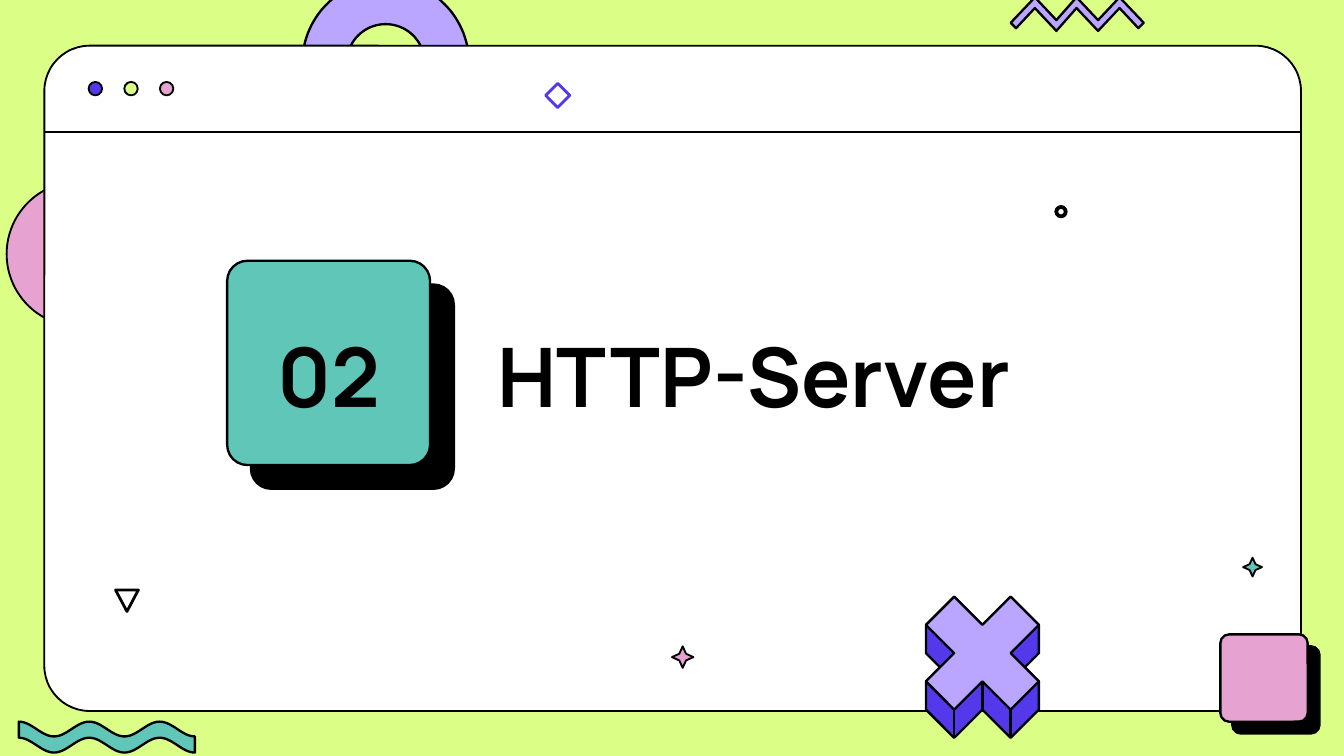
from math import cos, pi, radians, sin

from lxml import etree
from pptx import Presentation
from pptx.dml.color import RGBColor
from pptx.enum.shapes import MSO_CONNECTOR, MSO_SHAPE
from pptx.enum.text import MSO_ANCHOR, PP_ALIGN
from pptx.oxml.ns import qn
from pptx.util import Inches, Pt

OVAL, DIAMOND = MSO_SHAPE.OVAL, MSO_SHAPE.DIAMOND
ROUNDED, STAR = MSO_SHAPE.ROUNDED_RECTANGLE, MSO_SHAPE.STAR_4_POINT
TRIANGLE_DOWN = MSO_SHAPE.FLOWCHART_MERGE
STRAIGHT = MSO_CONNECTOR.STRAIGHT
LEFT, CENTER = PP_ALIGN.LEFT, PP_ALIGN.CENTER
MIDDLE, BOTTOM = MSO_ANCHOR.MIDDLE, MSO_ANCHOR.BOTTOM

FONT = "Manrope"
COLORS = {
    "lime": "DBFE87", "white": "FFFFFF", "black": "000000", "teal": "60C7B8",
    "pink": "E6A2D0", "lilac": "BAA5FF", "violet": "5339EA",
}

# text, box, alignment, anchor
TEXTS = [
    ("HTTP-Server", (3.6, 2.42, 4.33, 0.79), LEFT, BOTTOM),
    ("02", (1.69, 2.44, 1.51, 0.79), CENTER, MIDDLE),
]
WINDOW = (0.33, 0.34, 9.35, 4.95)
TITLE_BAR_Y = 0.98
WINDOW_BUTTONS = ["violet", "lime", "pink"]
# box, fill, shadow distance in points
NUMBER_CARD = ((1.69, 1.94, 1.51, 1.52), "teal", 18)
CORNER_CARD = ((9.08, 4.72, 0.65, 0.65), "pink", 9)
STARS = [((5, 4.81, 0.16, 0.16), "pink"), ((9.25, 4.15, 0.14, 0.14), "teal")]
# preset, box, line colour, line width
OUTLINES = [
    (TRIANGLE_DOWN, (0.86, 4.39, 0.17, 0.16), "black", 1.5),
    (DIAMOND, (4.06, 0.62, 0.18, 0.18), "violet", 1.5),
    (OVAL, (7.86, 1.54, 0.07, 0.07), "black", 2),
]
# the cross is drawn on a grid of CROSS_STEP
CROSS_ORIGIN, CROSS_STEP = (6.89, 4.44), 0.21
CROSS_FACE = [(1, 0), (2, 1), (3, 0), (4, 1), (3, 2), (4, 3),
              (3, 4), (2, 3), (1, 4), (0, 3), (1, 2), (0, 1)]
CROSS_BODY = [(1, 0), (2, 1), (3, 0), (4, 1), (4, 2), (3.5, 2.5), (4, 3), (4, 4),
              (3, 5), (2, 4), (1, 5), (0, 4), (0, 3), (0.5, 2.5), (0, 2), (0, 1)]
CROSS_EDGES = [(1, 4), (2, 3), (3, 4)]
ZIGZAG = [(8.17, 0.23), (8.01, 0.06), (7.86, 0.23), (7.7, 0.06), (7.56, 0.21),
          (7.52, 0.17), (7.7, -0.02), (7.86, 0.15), (8.01, -0.02), (8.17, 0.15),
          (8.33, -0.02), (8.51, 0.17), (8.47, 0.21), (8.33, 0.06)]


def rgb(name):
    """Return the named colour."""
    return RGBColor.from_string(COLORS[name])


def paint(shape, fill, line="black", width=1.25):
    """Set fill and line, and drop the theme shadow."""
    shape.shadow.inherit = False
    if fill:
        shape.fill.solid()
        shape.fill.fore_color.rgb = rgb(fill)
    else:
        shape.fill.background()
    shape.line.color.rgb = rgb(line)
    shape.line.width = Pt(width)
    return shape


def add_preset(preset, box, fill, line="black", width=1.25, adjust=None):
    """Add a preset shape."""
    shape = slide.shapes.add_shape(preset, *map(Inches, box))
    if adjust is not None:
        shape.adjustments[0] = adjust
    return paint(shape, fill, line, width)


def add_outline(points, fill, width=1.25):
    """Add a closed freeform through points in inches."""
    first, *rest = [(Inches(x), Inches(y)) for x, y in points]
    builder = slide.shapes.build_freeform(*first)
    builder.add_line_segments(rest, close=True)
    return paint(builder.convert_to_shape(), fill, width=width)


def add_line(start, end, width):
    """Add a straight black line."""
    line = slide.shapes.add_connector(STRAIGHT, *map(Inches, start + end))
    line.line.color.rgb = rgb("black")
    line.line.width = Pt(width)
    etree.SubElement(line._element.spPr, qn("a:effectLst"))


def add_card(box, fill, distance):
    """Add a rounded card with a hard diagonal shadow."""
    card = add_preset(ROUNDED, box, fill, adjust=0.1)
    effects = card._element.spPr.find(qn("a:effectLst"))
    shadow = etree.SubElement(effects, qn("a:outerShdw"), dist=str(Pt(distance)),
                              dir="2700000", algn="bl", rotWithShape="0")
    etree.SubElement(shadow, qn("a:srgbClr"), val=COLORS["black"])


def add_text(text, box, align, anchor):
    """Add a bold heading."""
    frame = slide.shapes.add_textbox(*map(Inches, box)).text_frame
    frame.word_wrap = True
    frame.vertical_anchor = anchor
    heading = frame.paragraphs[0]
    heading.text = text
    heading.alignment = align
    heading.line_spacing = 0.9
    heading.font.name = FONT
    heading.font.size = Pt(44)
    heading.font.bold = True
    heading.font.color.rgb = rgb("black")


def arc(center, radius, start, end, steps=60):
    """Return points on an arc, with angles in degrees clockwise from the right."""
    angles = [radians(start + (end - start) * i / steps) for i in range(steps + 1)]
    return [(center[0] + radius * cos(a), center[1] + radius * sin(a)) for a in angles]


def arch(center, outer, inner):
    """Return a half ring with round ends."""
    x, y = center
    middle, cap = (outer + inner) / 2, (outer - inner) / 2
    return (arc(center, outer, 180, 360) + arc((x + middle, y), cap, 0, 180)
            + arc(center, inner, 360, 180) + arc((x - middle, y), cap, 0, 180))


def wave(left, top, length, rise, thickness, steps=100):
    """Return a band that swings through two and a half periods."""
    upper = [(left + length * i / steps, top + rise * (1 - cos(5 * pi * i / steps)) / 2)
             for i in range(steps + 1)]
    return upper + [(x, y + thickness) for x, y in reversed(upper)]


def on_cross(x, y):
    """Turn a grid point of the cross into inches."""
    return CROSS_ORIGIN[0] + x * CROSS_STEP, CROSS_ORIGIN[1] + y * CROSS_STEP


deck = Presentation()
deck.slide_width, deck.slide_height = Inches(10), Inches(10 * 9 / 16)
slide = deck.slides.add_slide(deck.slide_layouts[6])
slide.background.fill.solid()
slide.background.fill.fore_color.rgb = rgb("lime")

add_outline(arch((2.87, 0.47), 0.62, 0.29), "lilac")
add_outline(arc((0.59, 1.89), 0.54, 90, 270), "pink", 1)

add_preset(ROUNDED, WINDOW, "white", width=1, adjust=0.068)
add_line((WINDOW[0], TITLE_BAR_Y), (WINDOW[0] + WINDOW[2], TITLE_BAR_Y), 1)

add_card(*NUMBER_CARD)
for text in TEXTS:
    add_text(*text)

for box, color in STARS:
    add_preset(STAR, box, color, width=1, adjust=0.22)
for preset, box, color, width in OUTLINES:
    add_preset(preset, box, None, color, width)

add_outline([on_cross(*point) for point in CROSS_BODY], "violet")
add_outline([on_cross(*point) for point in CROSS_FACE], "lilac")
for x, y in CROSS_EDGES:
    add_line(on_cross(x, y), on_cross(x, y + 1), 1.25)

add_card(*CORNER_CARD)
for i, color in enumerate(WINDOW_BUTTONS):
    add_preset(OVAL, (0.66 + 0.265 * i, 0.61, 0.1, 0.1), color, width=1)
add_outline(wave(0.14, 5.37, 1.31, 0.11, 0.12), "teal")
add_outline(ZIGZAG, "lilac")

deck.save("out.pptx")
